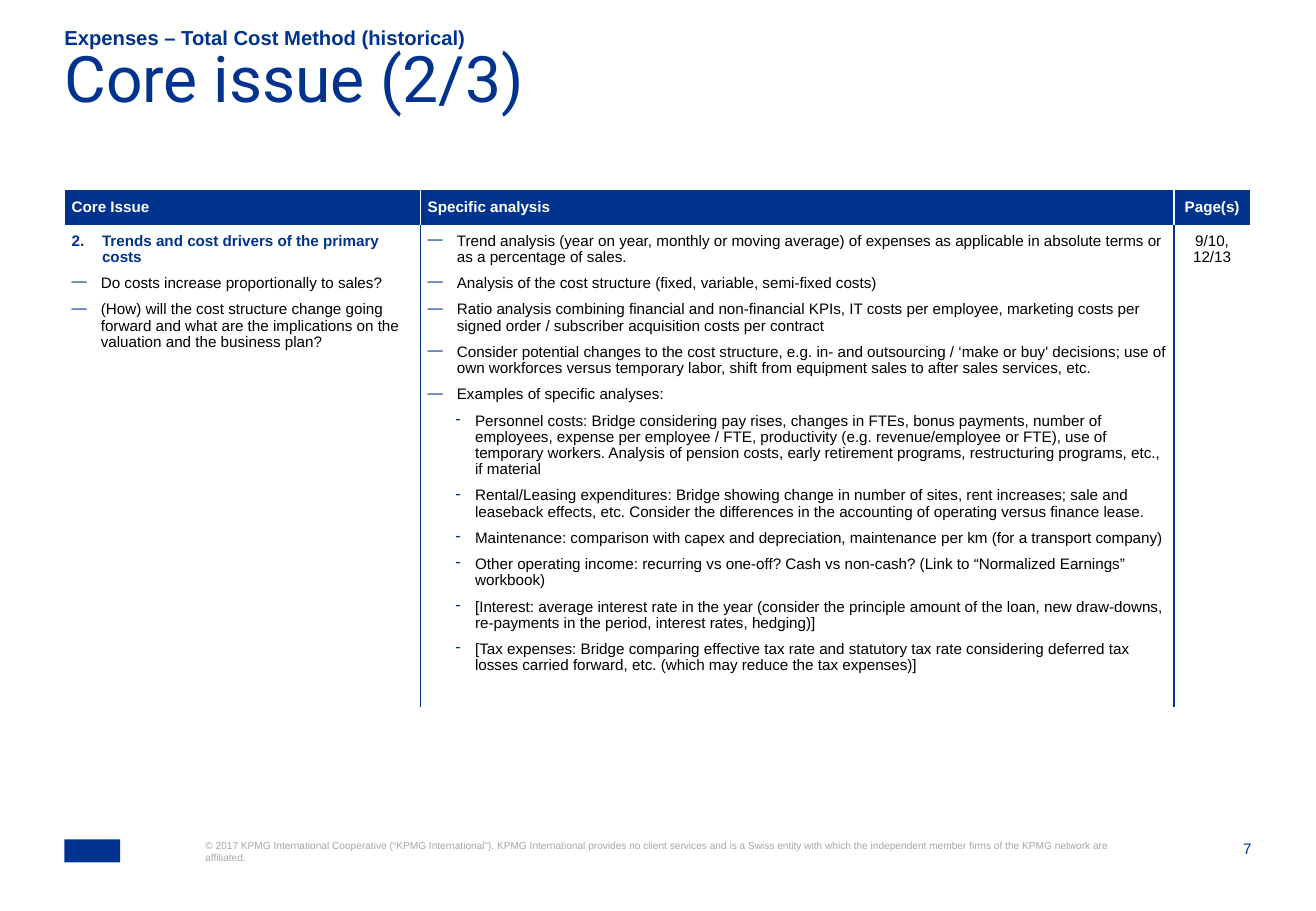
from lxml.etree import SubElement
from pptx import Presentation
from pptx.dml.color import RGBColor
from pptx.enum.shapes import MSO_SHAPE
from pptx.enum.text import MSO_ANCHOR, PP_ALIGN
from pptx.oxml import parse_xml
from pptx.oxml.ns import nsdecls, qn
from pptx.util import Inches, Pt

COLORS = {"blue": "00338D", "white": "FFFFFF", "black": "000000", "gray": "A6A6A6"}

HEADERS = ["Core Issue", "Specific analysis", "Page(s)"]
COLUMN_WIDTHS = [2.93, 6.2, 0.63]
ROW_HEIGHTS = [0.3, 3.75]

ISSUE = [
    ("number", "Trends and cost drivers of the primary costs"),
    ("dash", "Do costs increase proportionally to sales?"),
    ("dash", "(How) will the cost structure change going forward and what are the "
             "implications on the valuation and the business plan?"),
]
ANALYSES = [
    ("dash", "Trend analysis (year on year, monthly or moving average) of expenses as "
             "applicable in absolute terms or as a percentage of sales."),
    ("dash", "Analysis of the cost structure (fixed, variable, semi-fixed costs)"),
    ("dash", "Ratio analysis combining financial and non-financial KPIs, IT costs per "
             "employee, marketing costs per signed order / subscriber acquisition costs "
             "per contract"),
    ("dash", "Consider potential changes to the cost structure, e.g. in- and outsourcing / "
             "‘make or buy' decisions; use of own workforces versus temporary labor, shift "
             "from equipment sales to after sales services, etc."),
    ("dash", "Examples of specific analyses:"),
    ("hyphen", "Personnel costs: Bridge considering pay rises, changes in FTEs, bonus "
               "payments, number of employees, expense per employee / FTE, productivity "
               "(e.g. revenue/employee or FTE), use of temporary workers. Analysis of "
               "pension costs, early retirement programs, restructuring programs, etc., "
               "if material"),
    ("hyphen", "Rental/Leasing expenditures: Bridge showing change in number of sites, rent "
               "increases; sale and leaseback effects, etc. Consider the differences in the "
               "accounting of operating versus finance lease."),
    ("hyphen", "Maintenance: comparison with capex and depreciation, maintenance per km "
               "(for a transport company)"),
    ("hyphen", "Other operating income: recurring vs one-off? Cash vs non-cash? "
               "(Link to “Normalized Earnings” workbook)"),
    ("hyphen", "[Interest: average interest rate in the year (consider the principle amount "
               "of the loan, new draw-downs, re-payments in the period, interest rates, "
               "hedging)]"),
    ("hyphen", "[Tax expenses: Bridge comparing effective tax rate and statutory tax rate "
               "considering deferred tax losses carried forward, etc. (which may reduce the "
               "tax expenses)]"),
]
PAGES = [("plain", "9/10,\n12/13")]
COPYRIGHT = (
    "© 2017 KPMG International Cooperative (“KPMG International”). KPMG International "
    "provides no client services and is a Swiss entity with which the independent member "
    "firms of the KPMG network are affiliated."
)

BULLETS = {
    "number": ("buAutoNum", {"type": "arabicPeriod", "startAt": "2"}, 0.25, 0.25, 0),
    "dash": ("buChar", {"char": "—"}, 0.24, 0.24, 0),
    "hyphen": ("buChar", {"char": "-"}, 0.39, 0.16, 1),
}


class SlideBuilder:
    def __init__(self, page):
        self.page = page

    def style(self, para, size, color, bold=False, font="Arial",
              align=PP_ALIGN.LEFT, spacing=1.0):
        para.alignment = align
        para.line_spacing = spacing
        para.font.name = font
        para.font.size = Pt(size)
        para.font.bold = bold
        para.font.color.rgb = RGBColor.from_string(COLORS[color])

    def text(self, left, top, width, height, words, size, color,
             anchor=MSO_ANCHOR.TOP, **style):
        box = self.page.shapes.add_textbox(
            Inches(left), Inches(top), Inches(width), Inches(height))
        frame = box.text_frame
        frame.word_wrap = True
        frame.vertical_anchor = anchor
        frame.margin_left = frame.margin_right = 0
        frame.margin_top = frame.margin_bottom = 0
        para = frame.paragraphs[0]
        para.text = words
        self.style(para, size, color, **style)

    def block(self, left, top, width, height, color):
        box = self.page.shapes.add_shape(
            MSO_SHAPE.RECTANGLE, Inches(left), Inches(top), Inches(width), Inches(height))
        box.shadow.inherit = False
        box.fill.solid()
        box.fill.fore_color.rgb = RGBColor.from_string(COLORS[color])
        box.line.fill.background()

    def bullet(self, para, kind):
        tag, attributes, margin, hanging, level = BULLETS[kind]
        para.level = level
        properties = para._p.get_or_add_pPr()
        properties.set("marL", str(Inches(margin)))
        properties.set("indent", str(-Inches(hanging)))
        color = SubElement(properties, qn("a:buClr"))
        SubElement(color, qn("a:srgbClr"), val=COLORS["blue"])
        SubElement(properties, qn("a:" + tag), attributes)
        para.space_after = Pt(6)

    def cell(self, cell, items, fill, left, right, header=False, centered=False):
        cell.fill.solid()
        cell.fill.fore_color.rgb = RGBColor.from_string(COLORS[fill])
        cell.margin_left = cell.margin_right = Inches(0.06)
        cell.margin_top = cell.margin_bottom = Inches(0.06)
        cell.vertical_anchor = MSO_ANCHOR.MIDDLE if header else MSO_ANCHOR.TOP
        sides = {"L": left, "R": right, "T": "white", "B": "white"}
        for index, (side, color) in enumerate(sides.items()):
            cell._tc.get_or_add_tcPr().insert(index, parse_xml(
                f'<a:ln{side} {nsdecls("a")} w="{Pt(1)}"><a:solidFill>'
                f'<a:srgbClr val="{COLORS[color]}"/></a:solidFill></a:ln{side}>'))
        frame = cell.text_frame
        for index, (kind, words) in enumerate(items):
            para = frame.add_paragraph() if index else frame.paragraphs[0]
            para.text = words
            if kind in BULLETS:
                self.bullet(para, kind)
            color = "white" if header else "blue" if kind == "number" else "black"
            self.style(para, 9, color, bold=header or kind == "number", spacing=0.95,
                       align=PP_ALIGN.CENTER if centered else PP_ALIGN.LEFT)

    def issue_table(self, left, top):
        table = self.page.shapes.add_table(
            2, 3, Inches(left), Inches(top),
            Inches(sum(COLUMN_WIDTHS)), Inches(sum(ROW_HEIGHTS))).table
        table.horz_banding = False
        for row, height in zip(table.rows, ROW_HEIGHTS):
            row.height = Inches(height)
        last = len(HEADERS) - 1
        for index, body in enumerate([ISSUE, ANALYSES, PAGES]):
            table.columns[index].width = Inches(COLUMN_WIDTHS[index])
            self.cell(table.cell(0, index), [("plain", HEADERS[index])], "blue",
                      "white", "white", header=True, centered=index == last)
            self.cell(table.cell(1, index), body, "white",
                      "blue" if index else "white",
                      "blue" if index < last else "white", centered=index == last)


def main():
    deck = Presentation()
    deck.slide_width = Inches(10.83)
    deck.slide_height = Inches(7.5)
    slide = SlideBuilder(deck.slides.add_slide(deck.slide_layouts[6]))
    slide.text(9.87, 6.91, 0.43, 0.16, "7", 9, "blue", align=PP_ALIGN.RIGHT)
    slide.block(0.53, 6.91, 0.46, 0.19, "blue")
    slide.text(1.69, 6.91, 7.49, 0.41, COPYRIGHT, 6, "gray")
    slide.text(0.53, 0.22, 9.4, 0.19, "Expenses – Total Cost Method (historical)", 12,
               "blue", anchor=MSO_ANCHOR.BOTTOM, bold=True)
    slide.text(0.53, 0.49, 9.76, 0.79, "Core issue (2/3)", 38, "blue",
               font="Roboto", spacing=0.7)
    slide.issue_table(0.53, 1.56)
    deck.save("out.pptx")


if __name__ == "__main__":
    main()
